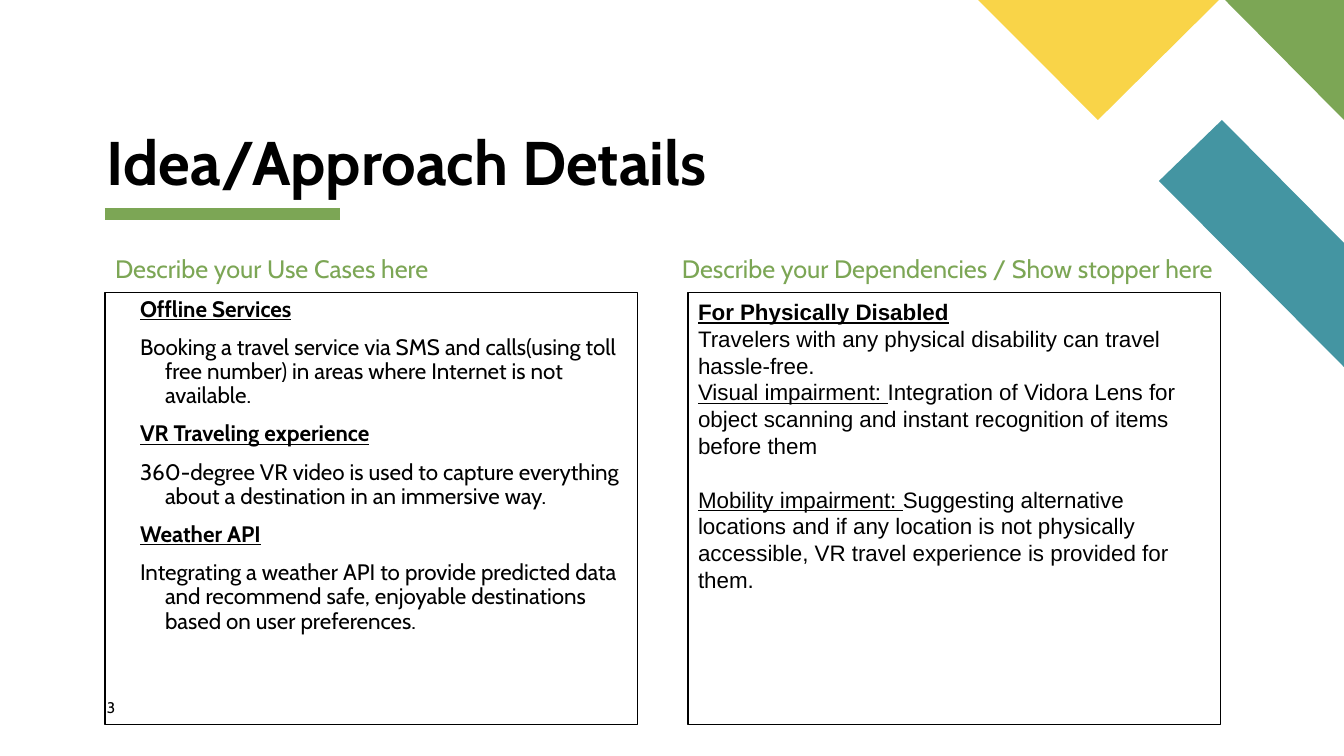
from lxml.etree import SubElement
from pptx import Presentation
from pptx.dml.color import RGBColor
from pptx.enum.shapes import MSO_CONNECTOR, MSO_SHAPE
from pptx.enum.text import MSO_ANCHOR as Anchor, PP_ALIGN as Align
from pptx.oxml.ns import qn
from pptx.util import Pt

SCALE = 914400 / 100.8  # EMU per px
WIDTH, HEIGHT = 1344, 756
COLORS = {"green": "7CA655", "teal": "4495A2", "yellow": "F9D448", "black": "000000"}

CORNER_SHAPES = [
    ("teal", [(1344, 367), (1344, 243), (1222, 120), (1159, 181)]),
    ("green", [(1344, 120), (1344, 0), (1225, 0)]),
    ("yellow", [(978, 0), (1098, 120), (1219, 0)]),
]
TITLE = "Idea/Approach Details"
PAGE_NUMBER = "3"
USE_CASES_HEADING = "Describe your Use Cases here"
DEPENDENCIES_HEADING = "Describe your Dependencies / Show stopper here"

# Each paragraph is a list of (text, style); style letters: b bold, u underline
USE_CASES = [
    [("Offline Services", "bu")],
    [("Booking a travel service via SMS and calls(using toll free number) "
      "in areas where Internet is not available.", "")],
    [("VR Traveling experience", "bu")],
    [("360-degree VR video is used to capture everything about a destination "
      "in an immersive way.", "")],
    [("Weather API", "bu")],
    [("Integrating a weather API to provide predicted data and recommend safe, "
      "enjoyable destinations based on user preferences.", "")],
]
DISABILITY_SUPPORT = [
    [("For Physically Disabled", "bu")],
    [("Travelers with any physical disability can travel hassle-free.", "")],
    [("Visual impairment: ", "u"),
     ("Integration of Vidora Lens for object scanning and instant recognition "
      "of items before them", "")],
]
MOBILITY_SUPPORT = [
    [("Mobility impairment: ", "u"),
     ("Suggesting alternative locations and if any location is not physically "
      "accessible, VR travel experience is provided for them.", "")],
]

HEADING_TOP, HEADING_HEIGHT = 252, 35
PANEL_TOP, PANEL_WIDTH, PANEL_HEIGHT = 293, 533, 432
LEFT_PANEL, RIGHT_PANEL = 105, 688


def px(length):
    return round(length * SCALE)


def color(name):
    return RGBColor.from_string(COLORS[name])


def write(shape, paragraphs, size, font="Cabin", ink="black", indent=0, hang=0,
          line=1.0, before=0, inset=(10, 5), anchor=Anchor.TOP, append=False):
    """Write paragraphs of styled spans; indent and hang are in px."""
    frame = shape.text_frame
    frame.word_wrap = True
    frame.vertical_anchor = anchor
    frame.margin_left = frame.margin_right = px(inset[0])
    frame.margin_top = frame.margin_bottom = px(inset[1])
    for index, spans in enumerate(paragraphs):
        para = frame.add_paragraph() if index or append else frame.paragraphs[0]
        para.alignment = Align.LEFT
        para.line_spacing = line
        para.space_before = Pt(before)
        if indent:
            properties = para._p.get_or_add_pPr()
            properties.set("marL", str(px(indent)))
            properties.set("indent", str(-px(hang)))
        for text, style in spans:
            span = para.add_run()
            span.text = text
            span.font.name = font
            span.font.size = Pt(size)
            span.font.bold = "b" in style
            span.font.underline = "u" in style
            span.font.color.rgb = color(ink)


def add_text(page, left, top, width, height, text, style="", **text_format):
    box = page.shapes.add_textbox(px(left), px(top), px(width), px(height))
    write(box, [[(text, style)]], **text_format)


def add_panel(page, left):
    panel = page.shapes.add_shape(MSO_SHAPE.RECTANGLE, px(left), px(PANEL_TOP),
                                  px(PANEL_WIDTH), px(PANEL_HEIGHT))
    panel.shadow.inherit = False
    panel.fill.background()
    panel.line.color.rgb = color("black")
    panel.line.width = Pt(0.75)
    return panel


def add_polygon(page, fill, points):
    builder = page.shapes.build_freeform(*points[0], scale=SCALE)
    builder.add_line_segments(points[1:], close=True)
    polygon = builder.convert_to_shape()
    polygon.shadow.inherit = False
    polygon.fill.solid()
    polygon.fill.fore_color.rgb = color(fill)
    polygon.line.fill.background()


def add_title_rule(page):
    rule = page.shapes.add_connector(MSO_CONNECTOR.STRAIGHT,
                                     px(105), px(214), px(340), px(214))
    rule.line.color.rgb = color("green")
    rule.line.width = Pt(8)
    SubElement(rule._element.spPr, qn("a:effectLst"))


def main():
    deck = Presentation()
    deck.slide_width, deck.slide_height = px(WIDTH), px(HEIGHT)
    page = deck.slides.add_slide(deck.slide_layouts[6])

    add_title_rule(page)
    for fill, points in CORNER_SHAPES:
        add_polygon(page, fill, points)
    add_text(page, 107, 131, 637, 68, TITLE, "b", size=44, line=0.9,
             inset=(0, 0), anchor=Anchor.BOTTOM)

    for left, width, heading in [(LEFT_PANEL, PANEL_WIDTH, USE_CASES_HEADING),
                                 (672, 566, DEPENDENCIES_HEADING)]:
        add_text(page, left, HEADING_TOP, width, HEADING_HEIGHT, heading,
                 size=18, ink="green", line=0.9, indent=25, hang=25)

    write(add_panel(page, LEFT_PANEL), USE_CASES, size=16, line=0.9, before=10,
          indent=50, hang=25)
    add_text(page, 107, 698, 57, 27, PAGE_NUMBER, size=11, inset=(0, 0))
    dependencies = add_panel(page, RIGHT_PANEL)
    write(dependencies, DISABILITY_SUPPORT, size=16, font="Arial")
    write(dependencies, MOBILITY_SUPPORT, size=16, font="Arial", before=19, append=True)

    deck.save("out.pptx")


if __name__ == "__main__":
    main()
